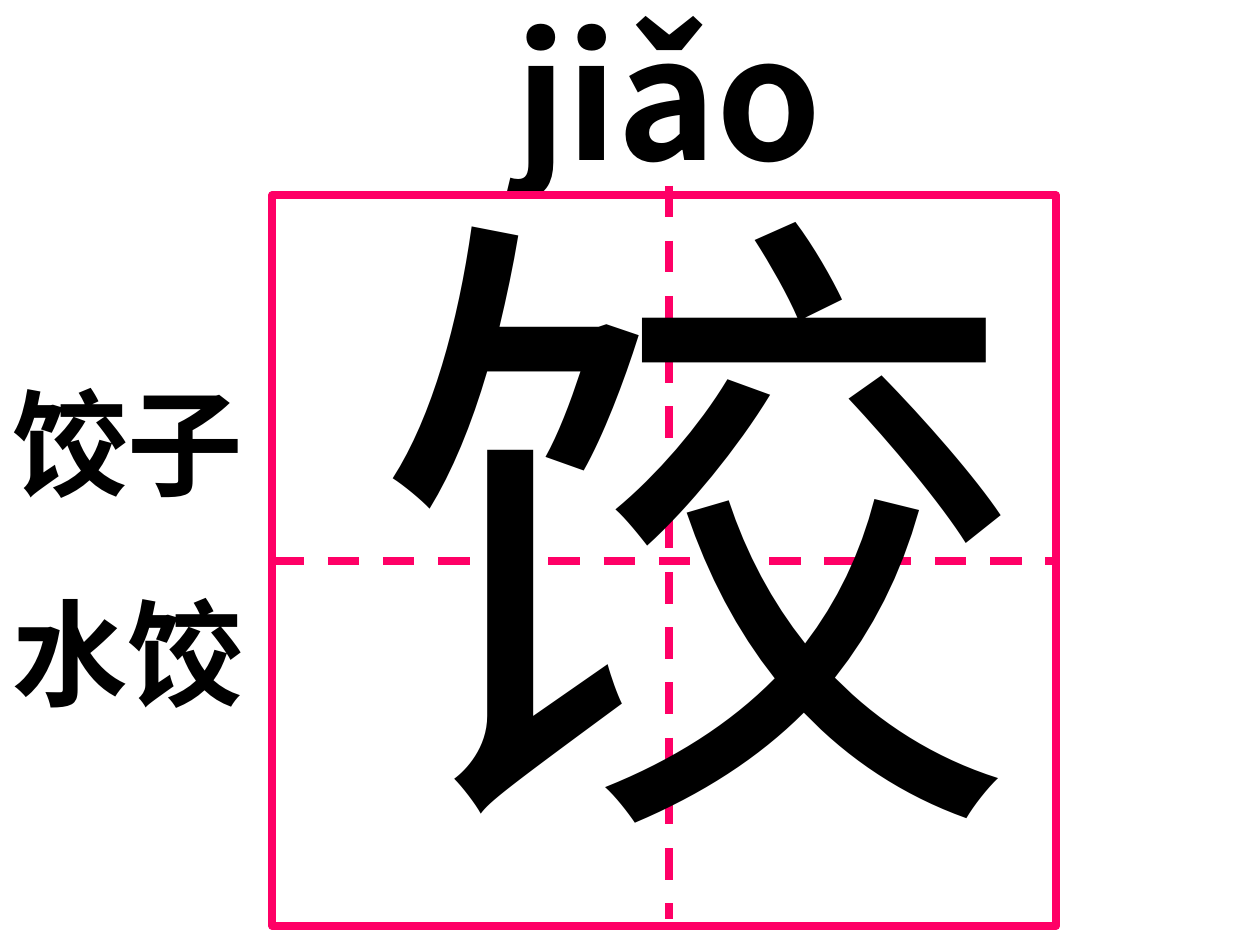
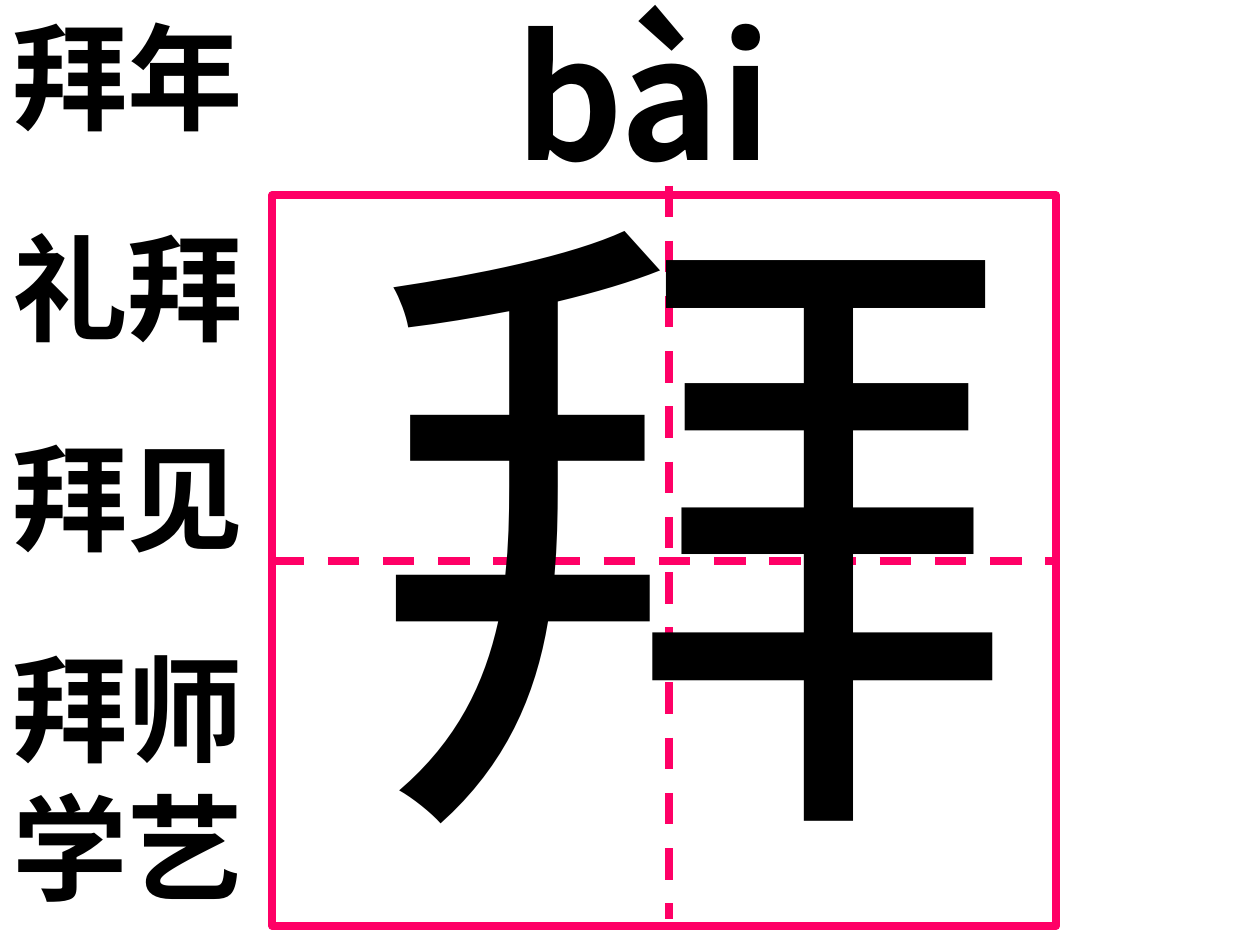
from dataclasses import dataclass
from lxml.etree import SubElement
from pptx import Presentation
from pptx.dml.color import RGBColor as Rgb
from pptx.enum.dml import MSO_LINE as Dash
from pptx.enum.shapes import MSO_CONNECTOR as Link, MSO_SHAPE as Kind
from pptx.enum.text import MSO_ANCHOR as Anchor, MSO_AUTO_SIZE as Fit, PP_ALIGN as Align
from pptx.oxml.ns import qn
from pptx.util import Cm, Pt


@dataclass(frozen=True)
class Theme:
    ink: Rgb = Rgb(0, 0, 0)
    rule: Rgb = Rgb(0xFF, 0, 0x66)
    sound: str = "Noto Sans CJK SC"
    glyph: str = "Times New Roman"
    word: str = "Arial"
    han: str = "Noto Sans CJK SC"
    sound_size: float = 96
    glyph_size: float = 370
    word_size: float = 66
    word_gap: float = 41.2
    rule_width: float = 4.5
    hair: float = 0.75


@dataclass(frozen=True)
class Box:
    x: float
    y: float
    w: float
    h: float

    def cm(self):
        return [Cm(v) for v in (self.x, self.y, self.w, self.h)]


THEME = Theme()
SOUND = Box(10.13, -0.28, 10.77, 4.32)
GRID = Box(5.49, 3.94, 15.8, 14.73)
CARDS = [
    ("jiǎo", "饺", ["饺子", "水饺"], Box(0, 7.37, 5.21, 7.32)),
    ("bài", "拜", ["拜年", "礼拜", "拜见", "拜师学艺"], Box(0, 0, 5.21, 18.59)),
]


def write(shape, lines, font, size, bold=False, wrap=True, gap=0):
    frame = shape.text_frame
    frame.text = "\n".join(lines)
    frame.word_wrap = wrap
    frame.auto_size = Fit.SHAPE_TO_FIT_TEXT
    frame.vertical_anchor = Anchor.TOP
    for i, para in enumerate(frame.paragraphs):
        para.alignment = Align.LEFT
        para.space_before = Pt(gap if i else 0)
        for run in para.runs:
            run.font.name = font
            run.font.size = Pt(size)
            run.font.bold = bold
            run.font.color.rgb = THEME.ink
            east = SubElement(run.font._element, qn("a:ea"))
            east.set("typeface", THEME.han)


def draw(slide, start, end, color=THEME.rule, width=THEME.rule_width, dash=Dash.DASH):
    ends = [Cm(v) for v in (*start, *end)]
    line = slide.shapes.add_connector(Link.STRAIGHT, *ends)
    line.line.color.rgb = color
    line.line.width = Pt(width)
    line.line.dash_style = dash
    SubElement(line._element.spPr, qn("a:effectLst"))
    return line


def add_sound(slide, box, text):
    title = slide.shapes.title
    title.left, title.top, title.width, title.height = box.cm()
    write(title, [text], THEME.sound, THEME.sound_size, bold=True)


def add_grid(slide, box, glyph):
    """Practice square with dashed guides and one large character."""
    frame = slide.shapes.add_shape(Kind.RECTANGLE, *box.cm())
    frame.shadow.inherit = False
    frame.fill.background()
    frame.line.color.rgb = THEME.rule
    frame.line.width = Pt(THEME.rule_width)

    mid = box.y + box.h / 2
    across = draw(slide, (box.x, mid), (box.x + box.w, mid))
    across.begin_connect(frame, 1)
    across.end_connect(frame, 3)
    down = box.x + 8
    draw(slide, (down, box.y - 0.2), (down, box.y + box.h - 0.15))

    area = Box(box.x + 1.72, box.y - 1.6, 13.56, 15.93)
    write(slide.shapes.add_textbox(*area.cm()), [glyph],
          THEME.glyph, THEME.glyph_size, wrap=False)


def add_words(slide, box, words):
    write(slide.shapes.add_textbox(*box.cm()), words,
          THEME.word, THEME.word_size, bold=True, gap=THEME.word_gap)


def add_card(deck, sound, glyph, words, area):
    slide = deck.slides.add_slide(deck.slide_layouts[5])
    add_sound(slide, SOUND, sound)
    dot = (GRID.x - 0.79, GRID.y + 7.39)
    draw(slide, dot, dot, color=THEME.ink, width=THEME.hair, dash=Dash.SOLID)
    add_grid(slide, GRID, glyph)
    add_words(slide, area, words)


def main():
    deck = Presentation()
    deck.slide_width, deck.slide_height = Cm(25.4), Cm(19.05)
    for card in CARDS:
        add_card(deck, *card)
    deck.save("out.pptx")


if __name__ == "__main__":
    main()
